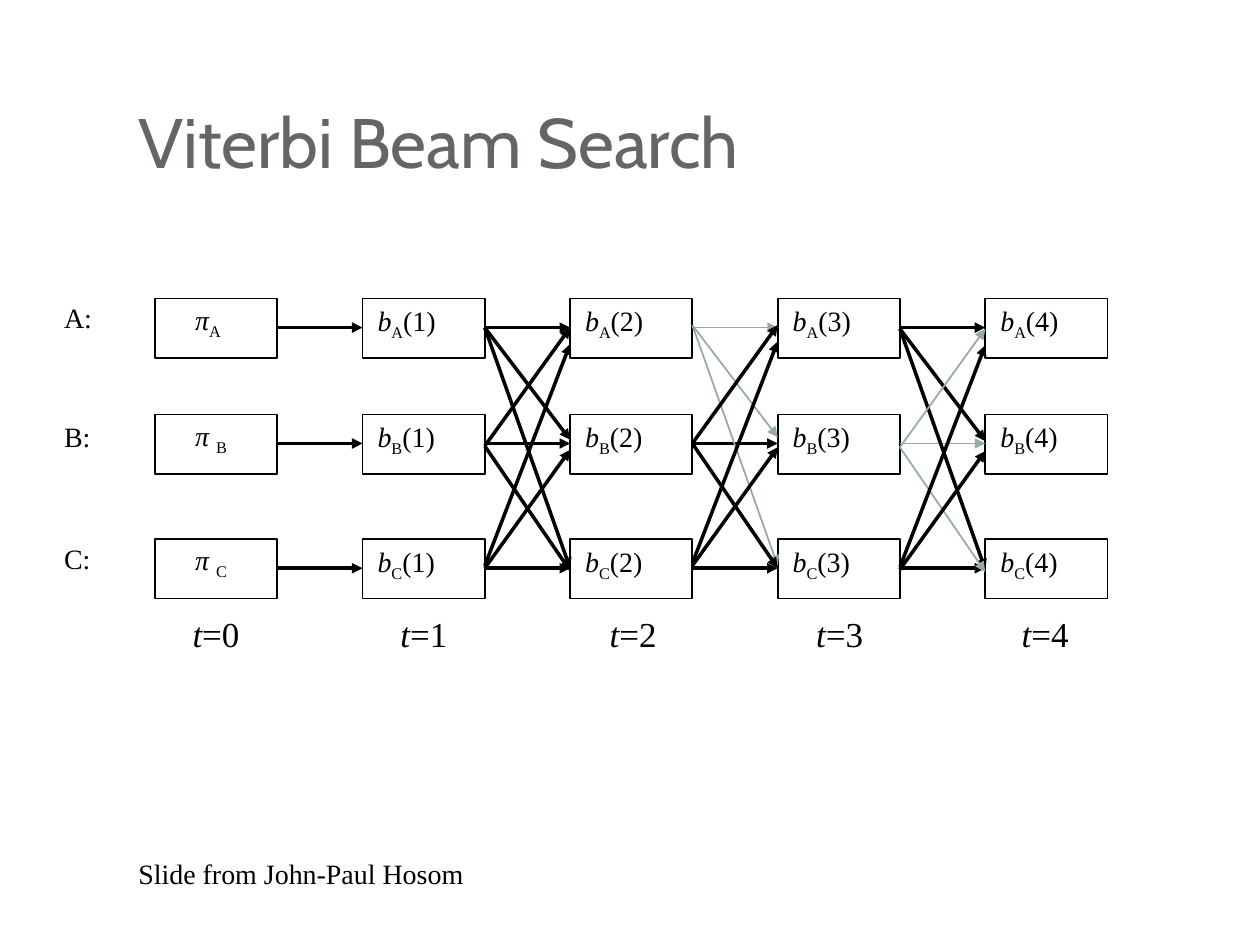
from itertools import product
from pptx import Presentation
from pptx.dml.color import RGBColor
from pptx.enum.shapes import MSO_CONNECTOR, MSO_SHAPE
from pptx.enum.text import MSO_ANCHOR
from pptx.oxml.ns import qn
from pptx.util import Inches, Pt
from lxml.etree import SubElement

TITLE = "Viterbi Beam Search"
CREDIT = "Slide from John-Paul Hosom"
STATES = ["A", "B", "C"]
STARTS = ["π", "π ", "π "]
TIMES = range(5)
PRUNED = {(2, 0), (3, 1)}  # (time, state) pairs outside the beam

THEME = {
    "head": "Cabin", "body": "Times New Roman",
    "title": 40, "time": 20, "text": 16,
    "gray": "696464", "ink": "000000", "pale": "96A9A9",
}

LEFT, STEP = 1.23, 1.6475
WIDE, HIGH = 0.97, 0.47
TOPS = [2.37, 3.29, 4.28]
NAME_TOPS = [2.34, 3.28, 4.25]
MIDS = [2.6, 3.52, 4.51]
TIME_LEFTS = [1.43, 3.08, 4.74, 6.38, 8.01]
SHIFTS = {1: 0, 2: -0.02, 3: 0.01}  # vertical shift of each fan of arrows
FAN = {  # (from state, to state): start and end height
    (0, 1): (2.6, 3.49), (0, 2): (2.6, 4.51),
    (1, 0): (3.54, 2.6), (1, 2): (3.54, 4.53),
    (2, 0): (4.49, 2.73), (2, 1): (4.51, 3.57),
}

deck = Presentation()
deck.slide_width, deck.slide_height = Inches(10), Inches(7.5)
slide = deck.slides.add_slide(deck.slide_layouts[6])


def color(name):
    return RGBColor.from_string(THEME[name])


def text(runs, *box, size="text", font="body", tint="ink", wrap=False,
         anchor=MSO_ANCHOR.TOP, foot=0.05):
    """Add a text box; runs are (words, style) with style "", "i" or "sub"."""
    frame = slide.shapes.add_textbox(*map(Inches, box)).text_frame
    frame.word_wrap = wrap
    frame.vertical_anchor = anchor
    frame.margin_bottom = Inches(foot)
    for words, style in runs:
        run = frame.paragraphs[0].add_run()
        run.text = words
        run.font.name = THEME[font]
        run.font.size = Pt(THEME[size])
        run.font.color.rgb = color(tint)
        run.font.italic = style == "i"
        if style == "sub":
            run.font._element.set("baseline", "-25000")


def node(time, row):
    x, y = LEFT + time * STEP, TOPS[row]
    box = slide.shapes.add_shape(
        MSO_SHAPE.RECTANGLE, *map(Inches, (x, y, WIDE, HIGH)))
    box.shadow.inherit = False
    box.fill.background()
    box.line.color.rgb = color("ink")
    box.line.width = Pt(1)
    sub = (STATES[row], "sub")
    if time:
        runs = [("b", "i"), sub, (f"({time})", "")]
        text(runs, x + 0.02, y - 0.01, 0.91, 0.5)
    else:
        text([(STARTS[row], "i"), sub], x + 0.22, y - 0.02,
             0.61 if row else 0.54, 0.5)


def arrow(time, row, start, end):
    """Join one time column to the next, pale if the source is pruned."""
    x = LEFT + time * STEP + WIDE
    ends = (x, start, x + STEP - WIDE, end)
    line = slide.shapes.add_connector(
        MSO_CONNECTOR.STRAIGHT, *map(Inches, ends))
    pale = (time, row) in PRUNED
    line.line.color.rgb = color("pale" if pale else "ink")
    line.line.width = Pt(1 if pale else 2)
    SubElement(line.line._get_or_add_ln(), qn("a:tailEnd"), type="triangle")
    SubElement(line._element.spPr, qn("a:effectLst"))


text([(TITLE, "")], 1, 0.3, 8.5, 1.25, size="title", font="head",
     tint="gray", wrap=True, anchor=MSO_ANCHOR.BOTTOM, foot=0.1)
text([(CREDIT, "")], 1, 6.75, 4.33, 0.5, wrap=True)

for time, row in product(TIMES, range(len(STATES))):
    node(time, row)
for state, top in zip(STATES, NAME_TOPS):
    text([(state + ":", "")], 0.41, top, 0.52, 0.5)
for time, left in zip(TIMES, TIME_LEFTS):
    text([("t", "i"), (f"={time}", "")], left, 4.81, 0.57, 0.43, size="time")

for (row, mid), time in product(enumerate(MIDS), TIMES[:-1]):
    arrow(time, row, mid, mid)
for time, shift in SHIFTS.items():
    for (row, _), (start, end) in FAN.items():
        arrow(time, row, start + shift, end + shift)

deck.save("out.pptx")
